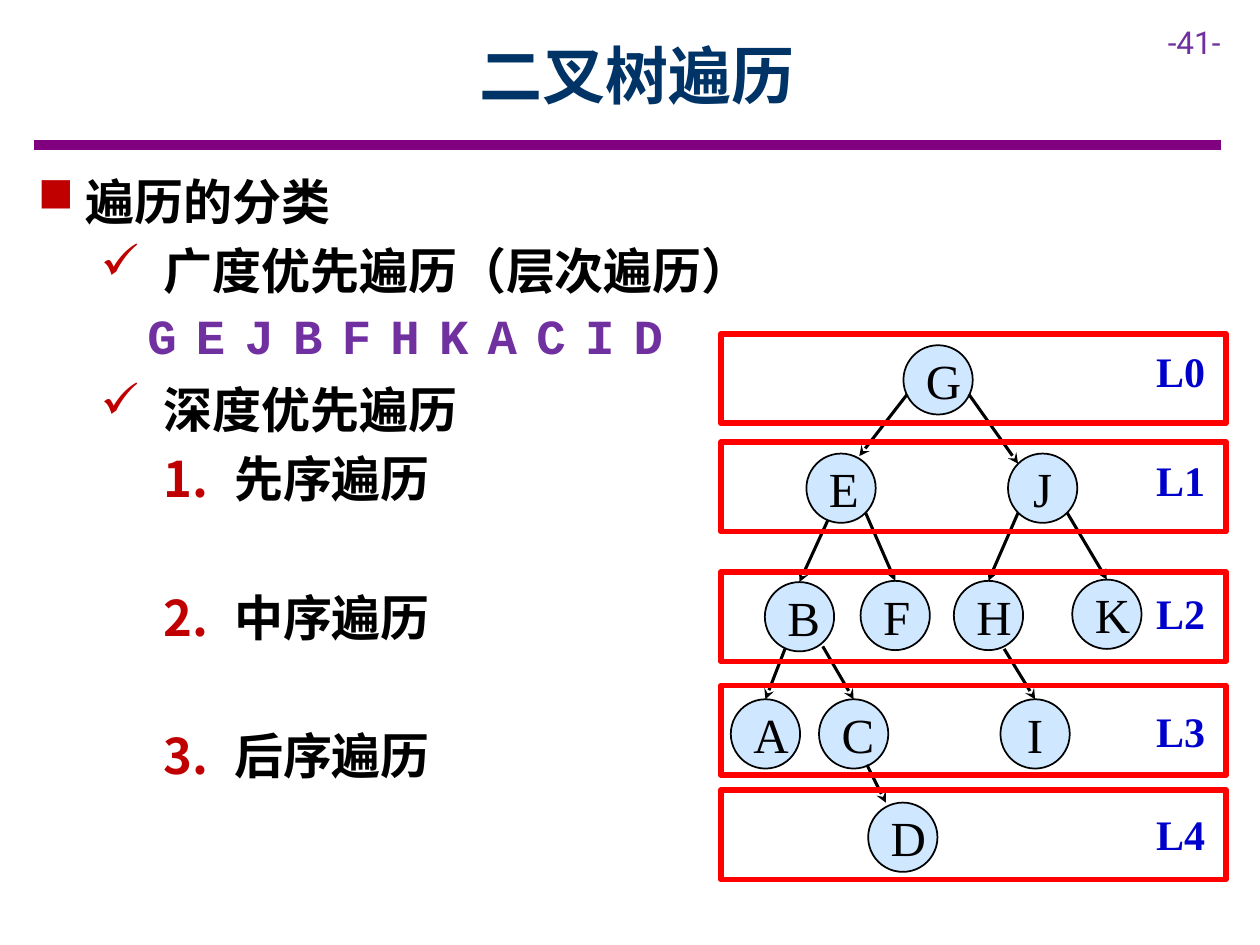
from lxml import etree
from pptx import Presentation
from pptx.dml.color import RGBColor
from pptx.enum.shapes import MSO_CONNECTOR, MSO_SHAPE
from pptx.enum.text import MSO_ANCHOR, PP_ALIGN
from pptx.oxml.ns import qn
from pptx.util import Inches, Pt

LINE = MSO_CONNECTOR.STRAIGHT
OVAL, RECT = MSO_SHAPE.OVAL, MSO_SHAPE.RECTANGLE
MIDDLE, TOP = MSO_ANCHOR.MIDDLE, MSO_ANCHOR.TOP
LEFT, CENTER = PP_ALIGN.LEFT, PP_ALIGN.CENTER

BLACK = RGBColor(0x00, 0x00, 0x00)
NAVY = RGBColor(0x00, 0x33, 0x66)
PLUM = RGBColor(0x80, 0x00, 0x80)
VIOLET = RGBColor(0x70, 0x30, 0xA0)
CRIMSON = RGBColor(0xC0, 0x00, 0x00)
RED = RGBColor(0xFF, 0x00, 0x00)
BLUE = RGBColor(0x00, 0x00, 0xCC)
SKY = RGBColor(0x99, 0xCC, 0xFF)

HAN, SANS = "Noto Sans CJK SC", "Roboto"
SERIF, MONO = "Times New Roman", "Courier New"

# Text, level, left margin, hanging indent, bullet (a number starts a list there)
TOPICS = [
    ("遍历的分类", 0, 0.38, 0.38, "■"),
    ("广度优先遍历（层次遍历）", 1, 1, 0.5, "✓"),
    ("深度优先遍历", 1, 1, 0.5, "✓"),
    ("先序遍历", 2, 1.56, 0.56, 1),
    ("中序遍历", 2, 1.56, 0.56, 2),
    ("后序遍历", 2, 1.56, 0.56, 3),
]
GAPPED = ("深度优先遍历", "中序遍历", "后序遍历")  # one free row above
ROW, AFTER = 33.6, 6

# Tree positions are relative to the tree's box
SIZE = 0.55
NODES = {
    "G": (1.45, 0.09),
    "E": (0.68, 0.95), "J": (2.28, 0.95),
    "B": (0.35, 1.97), "F": (1.11, 1.96), "H": (1.85, 1.96), "K": (2.79, 1.95),
    "A": (0.08, 2.9), "C": (0.78, 2.9), "I": (2.22, 2.9),
    "D": (1.17, 3.72),
}
# Child, start, end (None: top of the child)
EDGES = [
    ("E", (1.48, 0.48), (1.1, 0.97)), ("J", (1.97, 0.48), (2.36, 1.03)),
    ("B", (0.85, 1.48), None), ("F", (1.15, 1.42), None),
    ("H", (2.36, 1.42), None), ("K", (2.75, 1.42), None),
    ("A", (0.51, 2.5), None), ("C", (0.81, 2.48), None),
    ("I", (2.25, 2.5), None), ("D", (1.16, 3.42), (1.31, 3.72)),
]
BANDS = [(0, 0.04), (0.86, 0.91), (1.89, 1.96), (2.79, 2.9), (3.62, 3.72)]  # frame, label


def write(frame, text, font, size, color, bold=False, align=CENTER, anchor=TOP):
    frame.text = text
    frame.word_wrap = True
    frame.vertical_anchor = anchor
    for para in frame.paragraphs:
        para.alignment = align
        for run in para.runs:
            style(run, font, size, color, bold)


def style(run, font, size, color, bold):
    run.font.name, run.font.size, run.font.bold = font, Pt(size), bold
    run.font.color.rgb = color
    east = etree.Element(qn("a:ea"), typeface=font)
    run.font._element.find(qn("a:latin")).addnext(east)


def pad(frame, gap):
    frame.margin_left = frame.margin_right = Inches(gap)
    frame.margin_top = frame.margin_bottom = Inches(gap)


def add_text(slide, box, *args, **kwargs):
    frame = slide.shapes.add_textbox(*map(Inches, box)).text_frame
    write(frame, *args, **kwargs)
    return frame


def add_line(slide, start, end, color, width, arrow=False):
    line = slide.shapes.add_connector(LINE, *map(Inches, (*start, *end)))
    line.line.color.rgb, line.line.width = color, Pt(width)
    if arrow:
        etree.SubElement(line.line._get_or_add_ln(), qn("a:tailEnd"), type="stealth")
    etree.SubElement(line._element.spPr, qn("a:effectLst"))
    return line


def add_shape(slide, kind, box, color, width):
    shape = slide.shapes.add_shape(kind, *map(Inches, box))
    shape.shadow.inherit = False
    shape.fill.background()
    shape.line.color.rgb, shape.line.width = color, Pt(width)
    return shape


def add_bullet(para, left, hang, mark):
    props = para._p.get_or_add_pPr()
    props.set("marL", str(Inches(left)))
    props.set("indent", str(-Inches(hang)))
    color = etree.SubElement(props, qn("a:buClr"))
    etree.SubElement(color, qn("a:srgbClr"), val=str(CRIMSON))
    if isinstance(mark, int):
        etree.SubElement(props, qn("a:buAutoNum"), type="arabicPeriod", startAt=str(mark))
    else:
        etree.SubElement(props, qn("a:buChar"), char=mark)


def head(slide, x, y, wide, high):
    title = slide.shapes.title
    title.left, title.top = Inches(x), Inches(y)
    title.width, title.height = Inches(wide), Inches(high)
    write(title.text_frame, "二叉树遍历", HAN, 36, NAVY, bold=True, anchor=MIDDLE)
    # Rule and page number
    add_line(slide, (0.27, 1.15), (9.69, 1.15), PLUM, 6)
    add_text(slide, (9.17, 0.13, 0.83, 0.4), "-41-", SANS, 18, VIOLET, align=LEFT)


def topics(slide, *box):
    text = "\n".join(topic[0] for topic in TOPICS)
    frame = add_text(slide, box, text, HAN, 28, BLACK, bold=True, align=LEFT)
    for para, (name, level, left, hang, mark) in zip(frame.paragraphs, TOPICS):
        para.level = level
        para.line_spacing = Pt(ROW)
        para.space_before = Pt(ROW + AFTER if name in GAPPED else 0)
        para.space_after = Pt(AFTER)
        add_bullet(para, left, hang, mark)


def order(slide, x, y, wide, high):
    step = 0.386
    for i, name in enumerate("GEJBFHKACID"):
        frame = add_text(slide, (x + i * step, y, wide, high), name, MONO, 28,
                         VIOLET, bold=True, anchor=MIDDLE)
        pad(frame, 0.1)


def tree(slide, x, y, wide, high):
    # Nodes
    nodes = {}
    for name, (dx, dy) in NODES.items():
        node = add_shape(slide, OVAL, (x + dx, y + dy, SIZE, SIZE), BLACK, 1)
        node.fill.solid()
        node.fill.fore_color.rgb = SKY
        tint = node._element.spPr.find(qn("a:solidFill"))[0]
        etree.SubElement(tint, qn("a:alpha"), val="47000")
        write(node.text_frame, name, SERIF, 28, BLACK, anchor=MIDDLE)
        pad(node.text_frame, 0.1)
        nodes[name] = node
    # Arrows
    for child, start, end in EDGES:
        left, top = NODES[child]
        goal = end or (left + SIZE / 2, top)
        line = add_line(slide, (x + start[0], y + start[1]),
                        (x + goal[0], y + goal[1]), BLACK, 1.75, arrow=True)
        if end is None:
            line.end_connect(nodes[child], 0)
    # Levels
    for i, (band, label) in enumerate(BANDS):
        add_text(slide, (x + wide - 0.72, y + label, 0.72, 0.5), f"L{i}",
                 SERIF, 24, BLUE, bold=True)
        add_shape(slide, RECT, (x, y + band, wide, high), RED, 3.25)


def main():
    deck = Presentation()
    deck.slide_width, deck.slide_height = Inches(10), Inches(7.5)
    slide = deck.slides.add_slide(deck.slide_layouts[5])
    head(slide, 0.9, 0.09, 8.31, 1)
    topics(slide, 0.2, 1.31, 9.3, 5.02)
    tree(slide, 5.72, 2.65, 4.01, 0.71)
    order(slide, 1.04, 2.3, 0.49, 0.71)
    deck.save("out.pptx")


if __name__ == "__main__":
    main()
